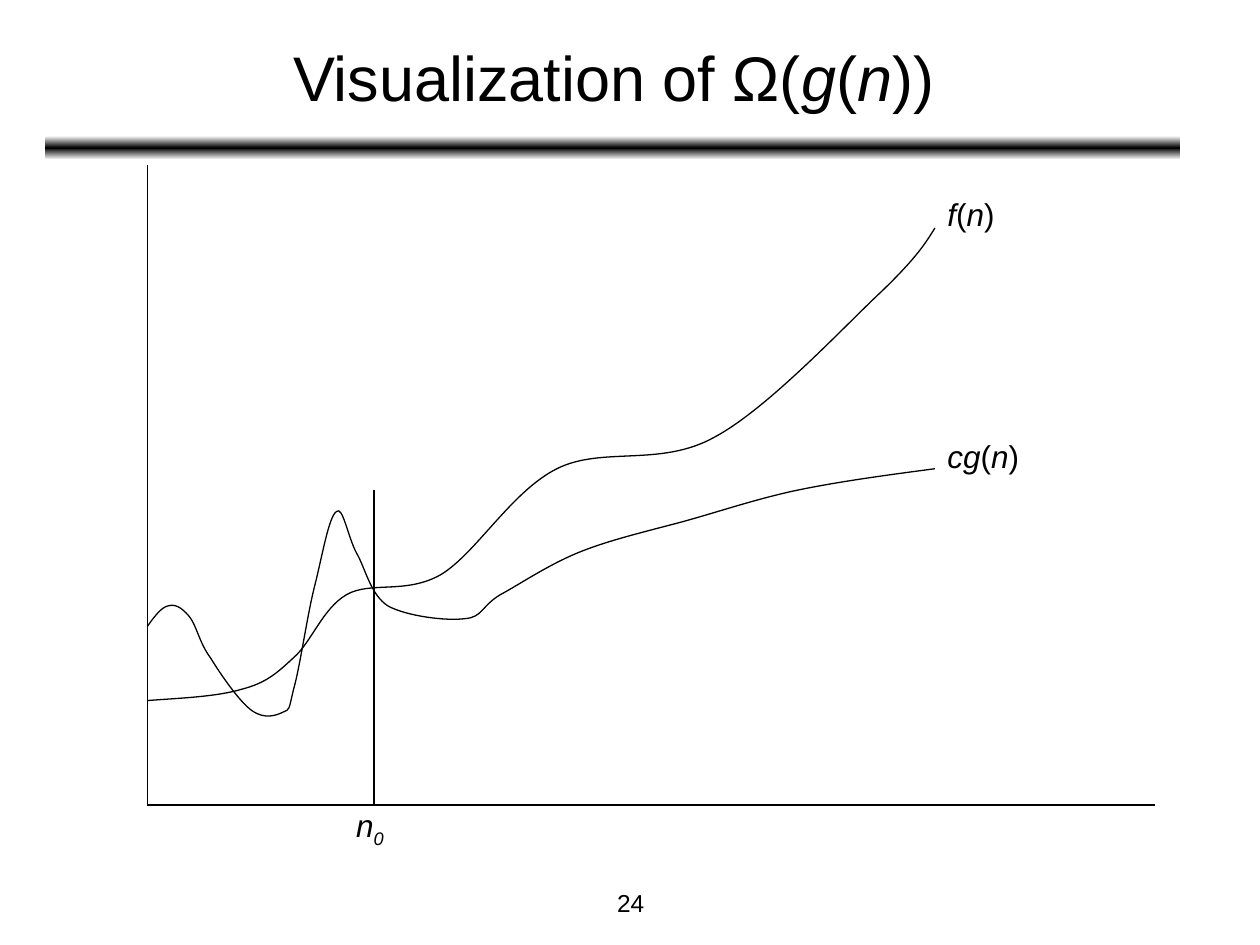
"""Build the slide that visualizes the lower bound Ω(g(n))."""
from copy import deepcopy
from dataclasses import dataclass

from lxml import etree
from pptx import Presentation
from pptx import util as u
from pptx.dml.color import RGBColor
from pptx.enum import shapes, text
from pptx.oxml import ns


@dataclass(frozen=True)
class Theme:
    """Colours, font and type sizes of the slide."""
    ink: RGBColor = RGBColor(0, 0, 0)
    paper: RGBColor = RGBColor(255, 255, 255)
    font: str = "Arial"
    title: int = 36
    label: int = 18
    number: int = 14
    stroke: float = 0.75
    marker: float = 1


THEME = Theme()
CURVE_UNIT = u.Cm(2.54) / 100
AXIS_X, AXIS_Y = 2.97, 16.23
THRESHOLD_X = 7.54
F_CURVE = [
    (117, 556), (144, 554), (172, 553), (192, 547), (211, 542), (219, 535), (233, 522),
    (247, 510), (256, 483), (275, 472), (294, 461), (322, 472), (350, 456),
    (378, 439), (406, 390), (442, 372), (478, 354), (524, 371), (567, 347),
    (610, 324), (671, 258), (700, 231), (729, 203), (735, 192), (742, 181),
]
CG_CURVE = [
    (117, 497), (122, 490), (128, 482), (133, 481), (139, 479), (144, 482), (150, 489),
    (156, 496), (158, 510), (167, 522), (175, 535), (190, 557), (200, 564),
    (210, 571), (219, 568), (225, 565), (230, 563), (229, 564), (233, 547),
    (238, 530), (244, 487), (250, 464), (256, 440), (261, 410), (267, 406),
    (272, 401), (276, 426), (283, 439), (290, 451), (294, 472), (308, 481),
    (323, 489), (354, 493), (369, 491), (383, 490), (382, 481), (397, 472),
    (412, 464), (434, 449), (458, 439), (482, 429), (512, 422), (542, 414),
    (571, 406), (600, 396), (633, 389), (667, 382), (704, 377), (742, 372),
]


def add_rule(slide, left, top, width, height):
    """Add the rounded bar that fades from black to paper at both edges."""
    rule = slide.shapes.add_shape(
        shapes.MSO_SHAPE.ROUNDED_RECTANGLE, *map(u.Cm, (left, top, width, height)))
    rule.shadow.inherit = False
    rule.line.fill.background()
    rule.fill.gradient()
    rule.fill.gradient_angle = 90
    stop_list = rule._element.spPr.find(".//" + ns.qn("a:gsLst"))
    stop_list.append(deepcopy(stop_list[0]))
    fade = zip(rule.fill.gradient_stops, (0, 0.5, 1), (THEME.paper, THEME.ink, THEME.paper))
    for stop, position, color in fade:
        stop.position = position
        stop.color.rgb = color


def add_text(slide, marked, left, top, width, height, size, align=text.PP_ALIGN.LEFT):
    """Add a text box whose parts between asterisks are italic."""
    box = slide.shapes.add_textbox(*map(u.Cm, (left, top, width, height)))
    frame = box.text_frame
    frame.word_wrap = True
    paragraph = frame.paragraphs[0]
    paragraph.alignment = align
    paragraph.font.name = THEME.font
    paragraph.font.size = u.Pt(size)
    paragraph.font.color.rgb = THEME.ink
    for index, part in enumerate(marked.split("*")):
        if part:
            run = paragraph.add_run()
            run.text = part
            run.font.italic = index % 2 == 1
    return frame


def add_line(slide, start, end, weight=THEME.stroke):
    """Add a straight line between two points."""
    line = slide.shapes.add_connector(
        shapes.MSO_CONNECTOR.STRAIGHT, *map(u.Cm, (*start, *end)))
    line.line.color.rgb = THEME.ink
    line.line.width = u.Pt(weight)
    etree.SubElement(line._element.spPr, ns.qn("a:effectLst"))


def add_curve(slide, points):
    """Add an open Bézier curve from a start point and triples of points."""
    builder = slide.shapes.build_freeform(*points[0], scale=CURVE_UNIT)
    builder.add_line_segments(points[1:], close=False)
    curve = builder.convert_to_shape()
    curve.shadow.inherit = False
    curve.fill.background()
    curve.line.color.rgb = THEME.ink
    curve.line.width = u.Pt(THEME.stroke)
    segments = list(curve._element.iter(ns.qn("a:lnTo")))
    outline = segments[0].getparent()
    for first in range(0, len(segments), 3):
        bezier = etree.SubElement(outline, ns.qn("a:cubicBezTo"))
        for segment in segments[first:first + 3]:
            bezier.append(segment[0])
            outline.remove(segment)


def main():
    """Assemble and save the slide."""
    deck = Presentation()
    deck.slide_width, deck.slide_height = u.Cm(25.4), u.Cm(19.05)
    slide = deck.slides.add_slide(deck.slide_layouts[6])
    center = text.PP_ALIGN.CENTER

    add_rule(slide, 0.91, 2.74, 22.89, 0.48)
    add_text(slide, "24", 8.69, 17.78, 8.05, 0.89, THEME.number, center)
    title = add_text(slide, "Visualization of Ω(*g*(*n*))",
                     0.94, 0.28, 22.86, 2.51, THEME.title, center)
    title.vertical_anchor = text.MSO_ANCHOR.MIDDLE

    add_line(slide, (AXIS_X, 3.33), (AXIS_X, AXIS_Y))
    add_line(slide, (AXIS_X, AXIS_Y), (23.29, AXIS_Y))
    for points in (F_CURVE, CG_CURVE):
        add_curve(slide, points)
    add_line(slide, (THRESHOLD_X, 9.88), (THRESHOLD_X, AXIS_Y), THEME.marker)

    threshold = add_text(slide, "*n**0*", 6.93, 16.13, 1.22, 1.27, THEME.label)
    subscript = threshold.paragraphs[0].runs[-1]
    subscript._r.get_or_add_rPr().set("baseline", "-25000")
    cg_label = add_text(slide, "*cg*(*n*)", 18.85, 8.69, 2.29, 1.27, THEME.label)
    f_label = add_text(slide, "*f*(*n*)", 18.85, 3.81, 1.73, 1.27, THEME.label)
    for label in (threshold, cg_label, f_label):
        label.auto_size = text.MSO_AUTO_SIZE.SHAPE_TO_FIT_TEXT

    deck.save("out.pptx")


if __name__ == "__main__":
    main()
